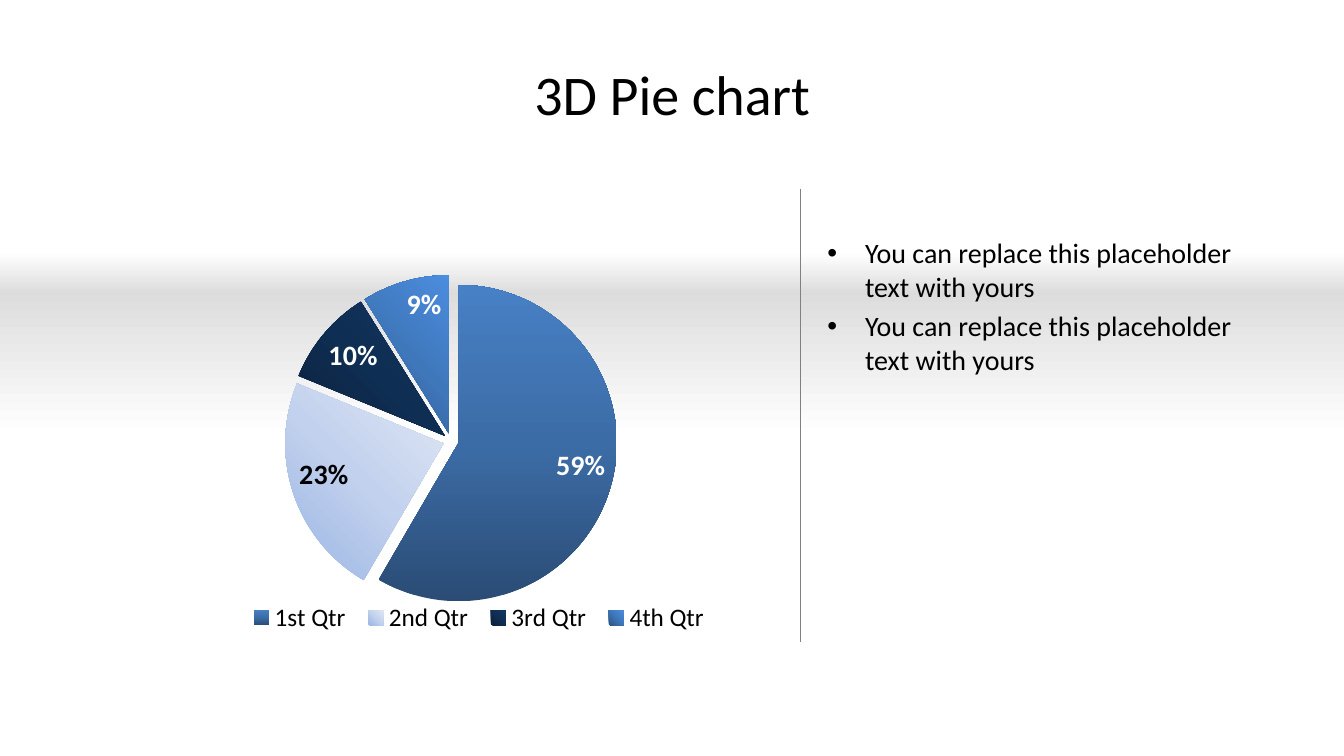
from typing import NamedTuple

from lxml import etree
from pptx import Presentation
from pptx.chart.data import CategoryChartData
from pptx.dml.color import RGBColor
from pptx.enum.chart import XL_CHART_TYPE, XL_LABEL_POSITION, XL_LEGEND_POSITION
from pptx.enum.shapes import MSO_CONNECTOR, MSO_SHAPE
from pptx.enum.text import MSO_ANCHOR, PP_ALIGN
from pptx.oxml import parse_xml
from pptx.oxml.ns import nsdecls, qn
from pptx.util import Cm, Pt

PIE = XL_CHART_TYPE.PIE
INSIDE_END = XL_LABEL_POSITION.INSIDE_END
LEGEND_BOTTOM = XL_LEGEND_POSITION.BOTTOM
STRAIGHT = MSO_CONNECTOR.STRAIGHT
RECTANGLE = MSO_SHAPE.RECTANGLE
TOP, MIDDLE = MSO_ANCHOR.TOP, MSO_ANCHOR.MIDDLE
LEFT, CENTER = PP_ALIGN.LEFT, PP_ALIGN.CENTER

FONT = "Calibri"
BLACK, WHITE, GRAY = "000000", "FFFFFF", "808080"


class Frame(NamedTuple):
    """Left, top, width and height in centimetres."""
    left: float
    top: float
    width: float
    height: float

    def lengths(self):
        return [Cm(value) for value in self]


class Band(NamedTuple):
    frame: Frame
    colors: tuple[str, ...]
    angle: int


class Slice(NamedTuple):
    name: str
    value: int
    colors: tuple[str, ...]
    angle: int
    label_color: str


BANDS = [
    Band(Frame(0, 7.39, 33.87, 3.61), ("DDDDDD", WHITE), 90),
    Band(Frame(0, 6.35, 33.87, 1.09), ("DBDBDB", WHITE), 270),
]
SLICES = [
    Slice("1st Qtr", 59, ("2A4C75", "3C6CA6", "4780C5"), 270, WHITE),
    Slice("2nd Qtr", 23, ("9AB5E4", "C2D1ED", "E1E8F5"), 315, BLACK),
    Slice("3rd Qtr", 10, ("0B203B", "0F2E53", "123663"), 315, WHITE),
    Slice("4th Qtr", 9, ("2D5484", "3F77BB", "4B8DDE"), 315, WHITE),
]
BULLETS = ["You can replace this placeholder text with yours"] * 2
CHART_FRAME = Frame(3.53, 4.88, 15.67, 11.23)
PLOT_AREA = (0.09, 0.2, 0.82, 0.71)
LEGEND_AREA = (0.16, 0.91, 0.77, 0.09)


def rgb(color: str) -> RGBColor:
    return RGBColor.from_string(color)


def style_font(font, size: int, color: str = BLACK, bold: bool = False) -> None:
    font.name, font.size, font.bold = FONT, Pt(size), bold
    font.color.rgb = rgb(color)


def set_gradient(properties, colors: tuple[str, ...], angle: int) -> None:
    """Replace an empty fill by evenly spaced gradient stops."""
    step = 100000 // (len(colors) - 1)
    stops = "".join(
        f'<a:gs pos="{index * step}"><a:srgbClr val="{color}"/></a:gs>'
        for index, color in enumerate(colors))
    gradient = parse_xml(
        f'<a:gradFill {nsdecls("a")} rotWithShape="1"><a:gsLst>{stops}</a:gsLst>'
        f'<a:lin ang="{angle * 60000}" scaled="0"/></a:gradFill>')
    properties.replace(properties.find(qn("a:noFill")), gradient)


def add_band(shapes, band: Band) -> None:
    shape = shapes.add_shape(RECTANGLE, *band.frame.lengths())
    shape.shadow.inherit = False
    shape.line.fill.background()
    shape.fill.background()
    set_gradient(shape._element.spPr, band.colors, band.angle)


def add_text(page, frame: Frame, lines: list[str], size: int, anchor, align,
             bulleted: bool = False) -> None:
    box = page.shapes.add_textbox(*frame.lengths())
    text = box.text_frame
    text.word_wrap = True
    text.vertical_anchor = anchor
    for index, line in enumerate(lines):
        para = text.paragraphs[0] if index == 0 else text.add_paragraph()
        para.alignment = align
        if index:
            para.space_before = Pt(size * 0.2)
        if bulleted:
            properties = para._p.get_or_add_pPr()
            properties.set("marL", str(Cm(0.95)))
            properties.set("indent", str(-Cm(0.95)))
            etree.SubElement(properties, qn("a:buFont")).set("typeface", "Arial")
            etree.SubElement(properties, qn("a:buChar")).set("char", "•")
        span = para.add_run()
        span.text = line
        style_font(span.font, size)


def chart_layout(area: tuple[float, ...], target: str = ""):
    """Manual layout as fractions of the chart: left, top, width, height."""
    modes = target + '<c:xMode val="edge"/><c:yMode val="edge"/>'
    sizes = "".join(f'<c:{key} val="{value}"/>' for key, value in zip("xywh", area))
    return parse_xml(f'<c:layout {nsdecls("c")}><c:manualLayout>{modes}{sizes}'
                     '</c:manualLayout></c:layout>')


def add_pie(page) -> None:
    data = CategoryChartData()
    data.categories = [part.name for part in SLICES]
    data.add_series("Series 1", [part.value for part in SLICES])
    chart = page.shapes.add_chart(PIE, *CHART_FRAME.lengths(), data).chart
    chart.has_title = False
    style_font(chart.font, 18)

    # Legend and plot placement
    chart.has_legend = True
    legend = chart.legend
    legend.position = LEGEND_BOTTOM
    legend.include_in_layout = False
    legend_xml = legend._element
    plot_xml = chart._chartSpace.chart.plotArea
    for parent in (legend_xml, plot_xml):
        for layout in parent.findall(qn("c:layout")):
            parent.remove(layout)
    legend_xml.find(qn("c:legendPos")).addnext(chart_layout(LEGEND_AREA))
    plot_xml.insert(0, chart_layout(PLOT_AREA, '<c:layoutTarget val="inner"/>'))

    # Slices and their labels
    plot = chart.plots[0]
    plot.vary_by_categories = True
    series = plot.series[0]
    for index, part in enumerate(SLICES):
        point = series.points[index]
        point.format.fill.background()
        properties = series._element.xpath(f"c:dPt[{index + 1}]/c:spPr")[0]
        set_gradient(properties, part.colors, part.angle)
        explosion = etree.Element(qn("c:explosion"))
        explosion.set("val", "5")
        properties.addprevious(explosion)
        label = point.data_label
        style_font(label.font, 20, part.label_color, bold=True)
        label.position = INSIDE_END
    labels = series.data_labels
    labels.show_value = True
    labels.number_format = '0"%"'
    labels.number_format_is_linked = False
    labels.position = INSIDE_END
    style_font(labels.font, 20, WHITE, bold=True)


def add_divider(page) -> None:
    line = page.shapes.add_connector(STRAIGHT, Cm(20.17), Cm(4.75), Cm(20.17), Cm(16.18))
    line.line.color.rgb = rgb(GRAY)
    line.line.width = Pt(0.75)
    etree.SubElement(line._element.spPr, qn("a:effectLst"))


def main() -> None:
    deck = Presentation()
    deck.slide_width, deck.slide_height = Cm(33.87), Cm(19.05)
    page = deck.slides.add_slide(deck.slide_layouts[6])

    # Shaded background
    backdrop = page.shapes.add_group_shape()
    for band in BANDS:
        add_band(backdrop.shapes, band)

    # Content
    add_pie(page)
    add_divider(page)
    add_text(page, Frame(1.7, 0.76, 30.48, 3.18), ["3D Pie chart"], 40, MIDDLE, CENTER)
    add_text(page, Frame(20.6, 5.82, 11.58, 9.32), BULLETS, 20, TOP, LEFT, bulleted=True)
    deck.save("out.pptx")


if __name__ == "__main__":
    main()
